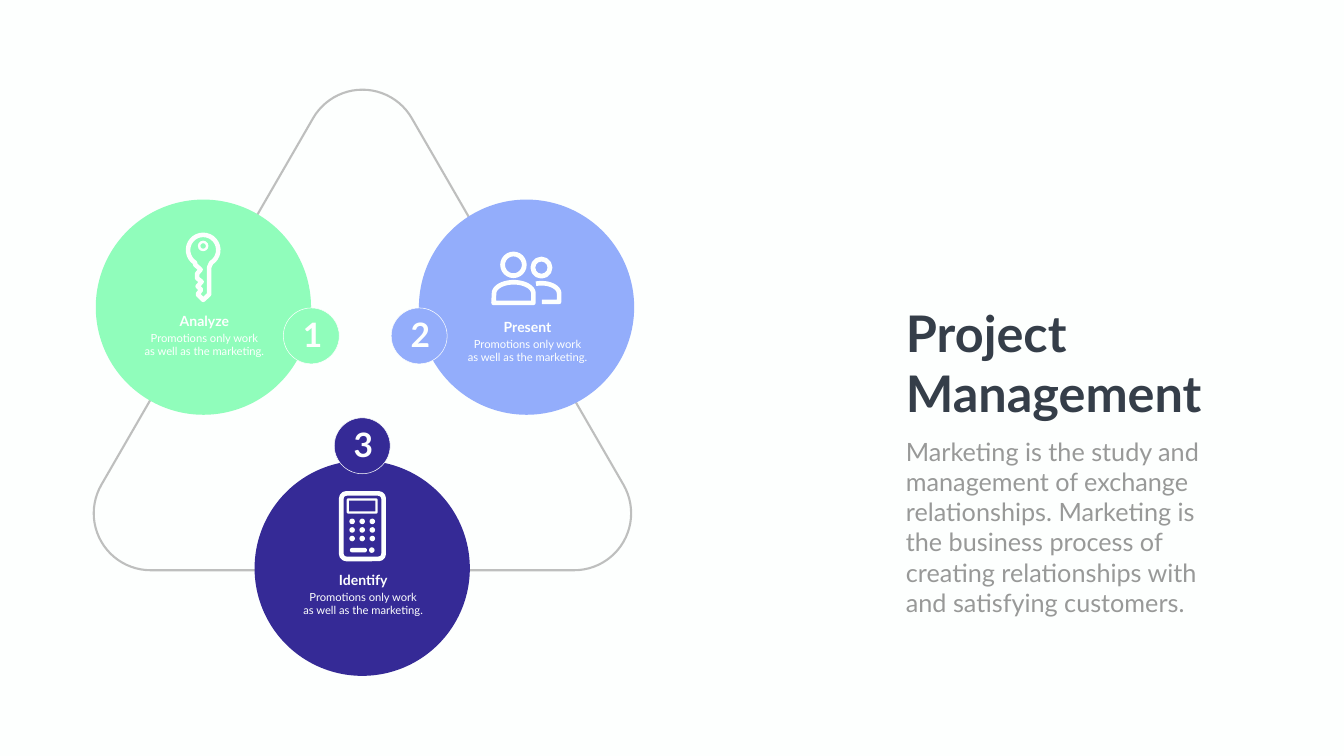
import math

import pptx
import pptx.dml.color
import pptx.enum.shapes
import pptx.enum.text
import pptx.oxml
import pptx.oxml.ns
import pptx.util

Inches = pptx.util.Inches
RGBColor = pptx.dml.color.RGBColor
SHAPE = pptx.enum.shapes.MSO_SHAPE
ALIGN = pptx.enum.text.PP_ALIGN
ANCHOR = pptx.enum.text.MSO_ANCHOR

WHITE = RGBColor(0xFD, 0xFF, 0xFE)
GREEN = RGBColor(0x90, 0xFD, 0xBB)
BLUE = RGBColor(0x93, 0xAD, 0xFB)
INDIGO = RGBColor(0x35, 0x2A, 0x96)
GREY = RGBColor(0x80, 0x80, 0x80)
DARK = RGBColor(0x35, 0x3E, 0x49)
BODY_GREY = RGBColor(0x98, 0x99, 0x98)

CIRCLE = 4.27
BADGE = 1.11


def paint(shape, fill=None, line=None, width=0.75):
    shape.shadow.inherit = False
    if fill is None:
        shape.fill.background()
    else:
        shape.fill.solid()
        shape.fill.fore_color.rgb = fill
    if line is None:
        shape.line.fill.background()
    else:
        shape.line.color.rgb = line
        shape.line.width = pptx.util.Pt(width)
    return shape


def add_preset(page, kind, box, **look):
    shape = page.shapes.add_shape(kind, *map(Inches, box))
    return paint(shape, **look)


def add_outline(page, origin, points, closed, **look):
    left, top = origin
    corners = [(Inches(left + x), Inches(top + y)) for x, y in points]
    builder = page.shapes.build_freeform(*corners[0])
    builder.add_line_segments(corners[1:], close=closed)
    return paint(builder.convert_to_shape(), **look)


def arc(x, y, radius_x, radius_y, start, end, steps=24):
    angles = [math.radians(start + (end - start) * step / steps) for step in range(steps + 1)]
    return [(x + radius_x * math.cos(a), y + radius_y * math.sin(a)) for a in angles]


def write(shape, lines, size, color, bold=False, align=ALIGN.CENTER, anchor=ANCHOR.TOP):
    frame = shape.text_frame
    frame.text = "\n".join(lines)
    frame.word_wrap = True
    frame.auto_size = pptx.enum.text.MSO_AUTO_SIZE.NONE
    frame.vertical_anchor = anchor
    values = {"name": "Lato", "size": pptx.util.Pt(size), "bold": bold}
    for para in frame.paragraphs:
        para.alignment = align
        for span in para.runs:
            for name, value in values.items():
                setattr(span.font, name, value)
            span.font.color.rgb = color
    return frame


def draw_triangle(page, left, top, side, radius):
    height = side * math.sqrt(3) / 2
    centers = [(side / 2, 0, 210), (side, height, 330), (0, height, 90)]
    points = []
    for x, y, start in centers:
        points += arc(x + radius, y + radius, radius, radius, start, start + 120)
    triangle = add_outline(page, (left, top), points, True, line=GREY, width=3)
    color = triangle.line.fill._xPr.find(".//" + pptx.oxml.ns.qn("a:srgbClr"))
    color.append(pptx.oxml.parse_xml(
        f'<a:alpha {pptx.oxml.ns.nsdecls("a")} val="50000"/>'))


def draw_key(page, left, top):
    head = arc(0.35, 0.35, 0.3, 0.3, 122, 418)
    blade = [(0.47, 0.69), (0.47, 1.23), (0.35, 1.34), (0.24, 1.23), (0.31, 1.14), (0.24, 1.07),
             (0.32, 0.98), (0.23, 0.91), (0.23, 0.82), (0.3, 0.74), (0.19, 0.64)]
    add_outline(page, (left, top), head + blade, True, line=WHITE, width=6.5)
    add_preset(page, SHAPE.OVAL, (left + 0.27, top + 0.19, 0.16, 0.16), line=WHITE, width=3.5)


def draw_people(page, left, top):
    for x, y, size in [(0.22, 0.05, 0.43), (0.82, 0.15, 0.34)]:
        add_preset(page, SHAPE.OVAL, (left + x, top + y, size, size), line=WHITE, width=6.8)
    front = arc(0.44, 0.83, 0.39, 0.22, 180, 360) + [(0.83, 1.02), (0.04, 1.02)]
    back = arc(0.99, 0.83, 0.35, 0.2, 252, 360) + [(1.34, 1), (1, 1)]
    add_outline(page, (left, top), front, True, line=WHITE, width=6.6)
    add_outline(page, (left, top), back, False, line=WHITE, width=6.6)


def draw_calculator(page, left, top):
    case = add_preset(page, SHAPE.ROUNDED_RECTANGLE, (left + 0.05, top + 0.05, 0.84, 1.3),
                      line=WHITE, width=6.7)
    case.adjustments[0] = 0.12
    screen = add_preset(page, SHAPE.ROUNDED_RECTANGLE, (left + 0.18, top + 0.17, 0.57, 0.26),
                        line=WHITE, width=3.3)
    screen.adjustments[0] = 0.05
    for row in range(3):
        for column in range(3):
            add_preset(page, SHAPE.OVAL,
                       (left + 0.21 + 0.2 * column, top + 0.55 + 0.17 * row, 0.11, 0.11), fill=WHITE)
    add_preset(page, SHAPE.OVAL, (left + 0.6, top + 1.12, 0.11, 0.11), fill=WHITE)
    bar = add_preset(page, SHAPE.ROUNDED_RECTANGLE, (left + 0.22, top + 1.13, 0.34, 0.09), fill=WHITE)
    bar.adjustments[0] = 0.5


def draw_stage(page, left, top, number, heading, color, icon, icon_at, text_top, badge_at):
    add_preset(page, SHAPE.OVAL, (left, top, CIRCLE, CIRCLE), fill=color)
    icon(page, left + icon_at[0], top + icon_at[1])
    details = [
        (0, 1.76, 0.44, [heading], 20, True),
        (0.36, 2.72, 0.64, ["Promotions only work", "as well as the marketing."], 16, False),
    ]
    for drop, width, height, lines, size, bold in details:
        box = page.shapes.add_textbox(Inches(left + 0.02 + (CIRCLE - width) / 2),
                                      Inches(top + text_top + drop), Inches(width), Inches(height))
        write(box, lines, size, WHITE, bold)
    badge = add_preset(page, SHAPE.OVAL, (left + badge_at[0], top + badge_at[1], BADGE, BADGE),
                       fill=color, line=WHITE)
    frame = write(badge, [str(number)], 48, WHITE, True, anchor=ANCHOR.MIDDLE)
    margins = {"margin_left": 0.05, "margin_right": 0, "margin_top": 0, "margin_bottom": 0.07}
    for name, value in margins.items():
        setattr(frame, name, Inches(value))


def place(shape, left, top, width, height):
    box = {"left": left, "top": top, "width": width, "height": height}
    for name, value in box.items():
        setattr(shape, name, Inches(value))


def fill_story(page, left, top, width):
    title, body = page.placeholders
    place(title, left, top, width, 2.52)
    write(title, ["Project", "Management"], 72, DARK, True, ALIGN.LEFT)
    place(body, left, top + 2.66, width + 0.34, 3.74)
    frame = write(body, ["Marketing is the study and management of exchange relationships. "
                         "Marketing is the business process of creating relationships with "
                         "and satisfying customers."], 36, BODY_GREY, align=ALIGN.LEFT)
    para = frame.paragraphs[0]
    para.space_before = pptx.util.Pt(0)
    settings = para._p.get_or_add_pPr()
    for name in ("marL", "indent"):
        settings.set(name, "0")
    settings.append(pptx.oxml.parse_xml(f'<a:buNone {pptx.oxml.ns.nsdecls("a")}/>'))


def main():
    deck = pptx.Presentation()
    deck.slide_width, deck.slide_height = Inches(26.66), Inches(15)
    page = deck.slides.add_slide(deck.slide_layouts[1])
    page.background.fill.solid()
    page.background.fill.fore_color.rgb = WHITE
    draw_triangle(page, 1.86, 1.78, 8.4, 1.13)
    stages = [
        (1.9, 3.96, 1, "Analyze", GREEN, draw_key, (1.78, 0.65), 2.2, (3.72, 2.15)),
        (8.31, 3.96, 2, "Present", BLUE, draw_people, (1.44, 1.03), 2.32, (-0.55, 2.15)),
        (5.05, 9.14, 3, "Identify", INDIGO, draw_calculator, (1.67, 0.6), 2.16, (1.58, -0.85)),
    ]
    for stage in stages:
        draw_stage(page, *stage)
    fill_story(page, 17.87, 5.94, 6.2)
    deck.save("out.pptx")


if __name__ == "__main__":
    main()
